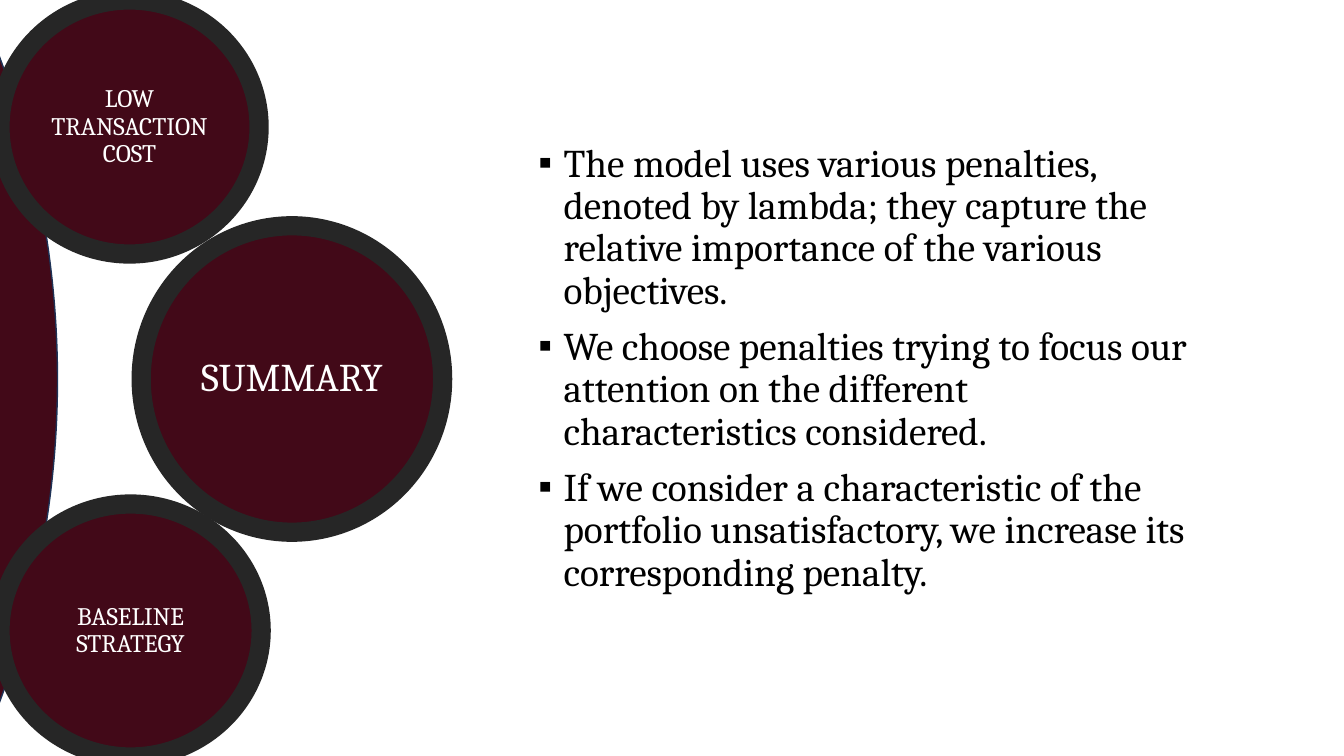
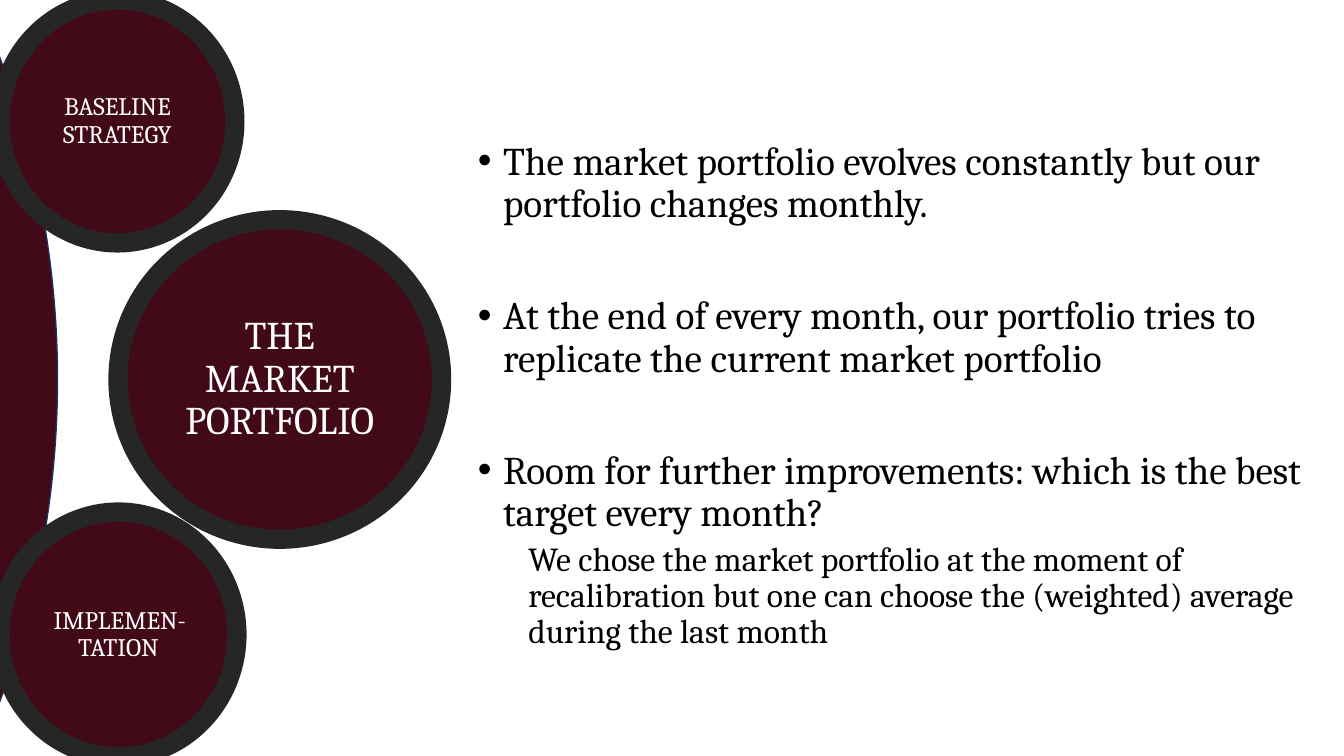
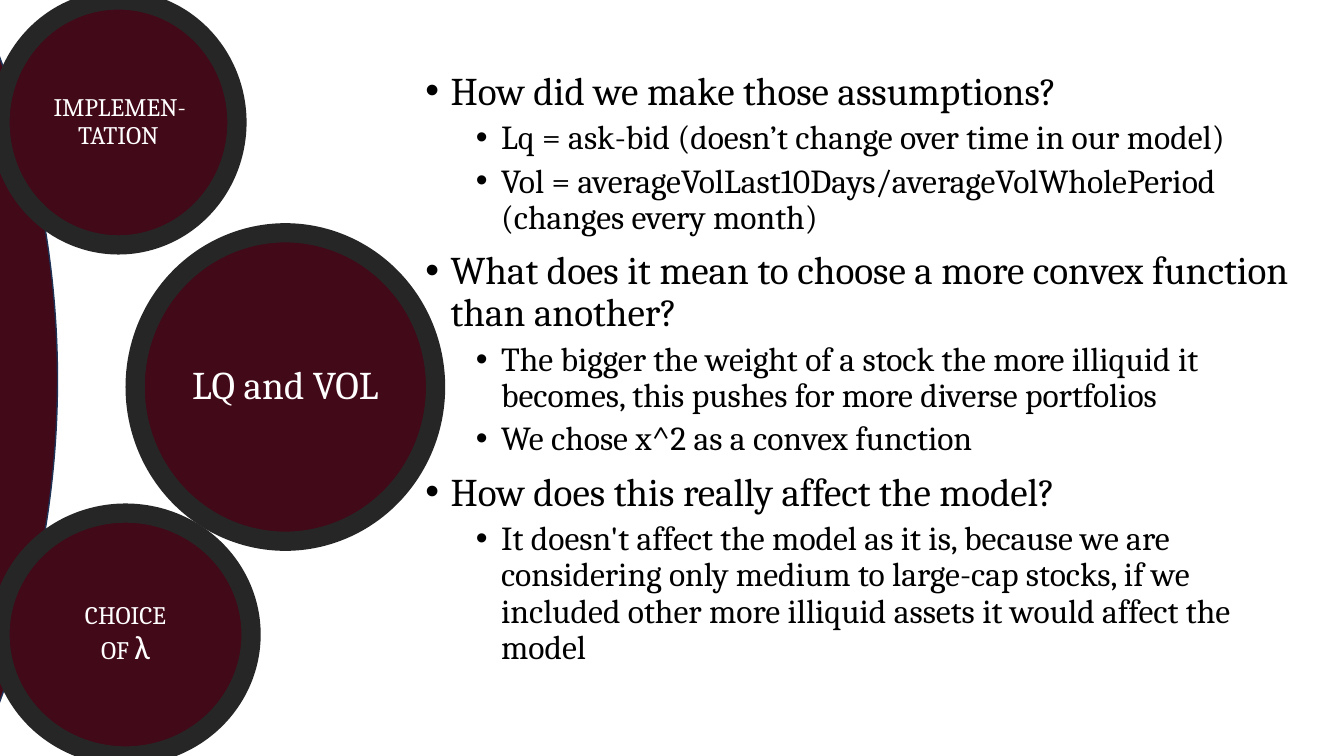
from lxml import etree
from pptx import Presentation
from pptx.dml.color import RGBColor
from pptx.enum.shapes import MSO_SHAPE
from pptx.enum.text import MSO_ANCHOR, MSO_AUTO_SIZE, PP_ALIGN
from pptx.oxml.ns import qn
from pptx.util import Inches, Pt

OVAL = MSO_SHAPE.OVAL
MIDDLE, TOP = MSO_ANCHOR.MIDDLE, MSO_ANCHOR.TOP
NO_FIT = MSO_AUTO_SIZE.NONE
CENTER = PP_ALIGN.CENTER

WINE = RGBColor(0x42, 0x09, 0x18)
CHARCOAL = RGBColor(0x26, 0x26, 0x26)
NAVY = RGBColor(0x1E, 0x32, 0x56)
WHITE = RGBColor(0xFF, 0xFF, 0xFF)
BLACK = RGBColor(0x00, 0x00, 0x00)

FONT = "Cambria"
SYMBOL_FONT = "Calibri"
LARGE, MEDIUM, SMALL = 28, 24, 18
LINE_SPACING = 0.9


class Deck:
    def __init__(self):
        self.prs = Presentation()
        self.prs.slide_width = Inches(13.33)
        self.prs.slide_height = Inches(7.5)
        self.s = None

    def new_slide(self):
        self.s = self.prs.slides.add_slide(self.prs.slide_layouts[1])
        title = self.s.shapes.title.element
        title.getparent().remove(title)
        self.ellipse((-18.35, -5.56, 18.92, 18.65), NAVY, 1)

    def ellipse(self, box, line_color, line_width):
        sp = self.s.shapes.add_shape(OVAL, *map(Inches, box))
        sp.shadow.inherit = False
        sp.fill.solid()
        sp.fill.fore_color.rgb = WINE
        sp.line.color.rgb = line_color
        sp.line.width = Pt(line_width)
        return sp

    def run(self, p, text, size, color, font=FONT):
        r = p.add_run()
        r.text = text
        r.font.size = Pt(size)
        r.font.name = font
        r.font.color.rgb = color

    def disc(self, box, lines, size=SMALL):
        tf = self.ellipse(box, CHARCOAL, 13.75).text_frame
        tf.word_wrap = True
        tf.vertical_anchor = MIDDLE
        tf.margin_left = tf.margin_right = tf.margin_top = tf.margin_bottom = 0
        for i, line in enumerate(lines):
            p = tf.add_paragraph() if i else tf.paragraphs[0]
            p.alignment = CENTER
            p.line_spacing = LINE_SPACING
            runs = [(line, size)] if isinstance(line, str) else line
            for text, *style in runs:
                self.run(p, text, style[0], WHITE, *style[1:])

    def bullet(self, p, char, left, hanging):
        pPr = p._p.get_or_add_pPr()
        pPr.set("marL", str(Inches(left)))
        pPr.set("indent", str(-Inches(hanging)))
        if char:
            etree.SubElement(pPr, qn("a:buFont")).set("typeface", "Arial")
            etree.SubElement(pPr, qn("a:buChar")).set("char", char)
        else:
            etree.SubElement(pPr, qn("a:buNone"))

    def body(self, box, items, char="•", sub_char="•", gap=10):
        sp = self.s.placeholders[1]
        sp.left, sp.top, sp.width, sp.height = map(Inches, box)
        tf = sp.text_frame
        tf.word_wrap = True
        tf.auto_size = NO_FIT
        tf.vertical_anchor = TOP
        for i, (level, text) in enumerate(items):
            p = tf.add_paragraph() if i else tf.paragraphs[0]
            p.level = level
            p.line_spacing = LINE_SPACING
            p.space_before = Pt((5 if level else gap) if i else 0)
            if level:
                left, hanging = (0.75, 0.25) if sub_char else (0.5, 0)
                self.bullet(p, sub_char, left, hanging)
            else:
                self.bullet(p, char, 0.25, 0.25)
            self.run(p, text, MEDIUM if level else LARGE, BLACK)


def summary(deck):
    deck.new_slide()
    deck.disc((0, 0, 2.57, 2.52), ["LOW", "TRANSACTION", "COST"])
    deck.disc((1.4, 2.24, 2.99, 3.04), ["SUMMARY"], LARGE)
    deck.disc((0, 5, 2.59, 2.51), ["BASELINE", "STRATEGY"])
    deck.body((5.24, 1.37, 6.8, 5.44), [
        (0, "The model uses various penalties, denoted by lambda; they capture "
            "the relative importance of the various objectives."),
        (0, "We choose penalties trying to focus our attention on the different "
            "characteristics considered."),
        (0, "If we consider a characteristic of the portfolio unsatisfactory, "
            "we increase its corresponding penalty."),
    ], char="▪")


def market_portfolio(deck):
    deck.new_slide()
    deck.disc((0, 0, 2.33, 2.41), ["BASELINE", "STRATEGY"])
    deck.disc((1.17, 2.18, 3.21, 3.17), ["THE", "MARKET", "PORTFOLIO"], LARGE)
    deck.disc((0, 5.08, 2.35, 2.43), ["IMPLEMEN-TATION"])
    deck.body((4.64, 1.35, 8.62, 5.84), [
        (0, "The market portfolio evolves constantly but our portfolio changes "
            "monthly."),
        (0, "At the end of every month, our portfolio tries to replicate the "
            "current market portfolio"),
        (0, "Room for further improvements: which is the best target every month?"),
        (1, "We chose the market portfolio at the moment of recalibration but "
            "one can choose the (weighted) average during the last month"),
    ], sub_char=None, gap=50)


def liquidity_and_volume(deck):
    deck.new_slide()
    deck.disc((0, 5.09, 2.49, 2.41),
              ["CHOICE", [("OF ", SMALL), ("λ", MEDIUM, SYMBOL_FONT)]])
    deck.disc((1.34, 2.31, 2.98, 3.06), ["LQ and VOL"], LARGE)
    deck.disc((0, 0, 2.35, 2.43), ["IMPLEMEN-TATION"])
    deck.body((4.12, 0.66, 8.94, 6.58), [
        (0, "How did we make those assumptions?"),
        (1, "Lq = ask-bid (doesn’t change over time in our model)"),
        (1, "Vol = averageVolLast10Days/averageVolWholePeriod (changes every "
            "month)"),
        (0, "What does it mean to choose a more convex function than another?"),
        (1, "The bigger the weight of a stock the more illiquid it becomes, "
            "this pushes for more diverse portfolios"),
        (1, "We chose x^2 as a convex function"),
        (0, "How does this really affect the model?"),
        (1, "It doesn't affect the model as it is, because we are considering "
            "only medium to large-cap stocks, if we included other more "
            "illiquid assets it would affect the model"),
    ])


def main():
    deck = Deck()
    summary(deck)
    market_portfolio(deck)
    liquidity_and_volume(deck)
    deck.prs.save("out.pptx")


if __name__ == "__main__":
    main()
